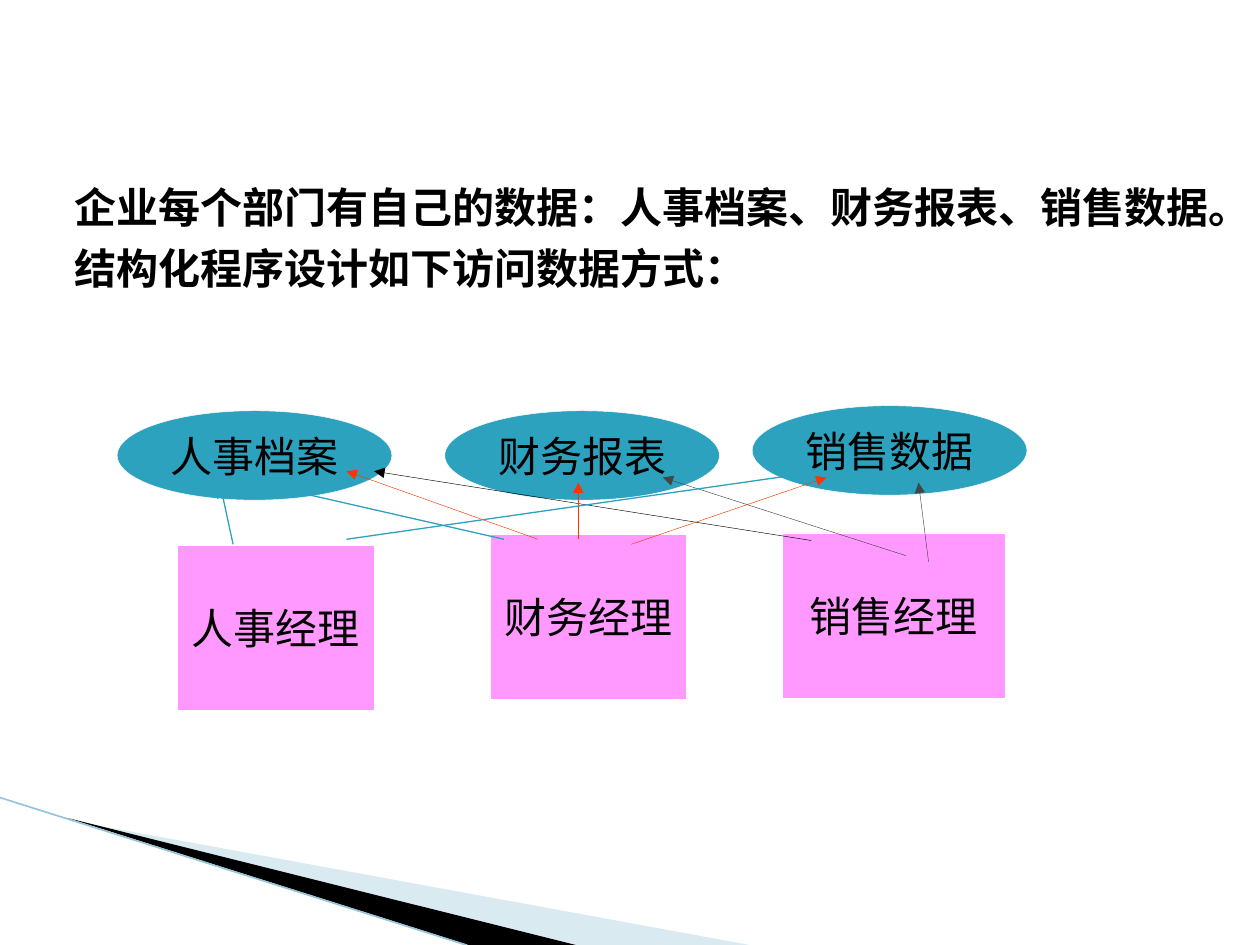
from lxml.etree import SubElement
from pptx import Presentation
from pptx.dml.color import RGBColor
from pptx.enum.shapes import MSO_CONNECTOR as Connector, MSO_SHAPE as Shape
from pptx.enum.text import MSO_ANCHOR as Anchor, PP_ALIGN as Align
from pptx.oxml.ns import qn
from pptx.util import Inches, Pt

BLACK = RGBColor(0x00, 0x00, 0x00)
WHITE = RGBColor(0xFF, 0xFF, 0xFF)
TEAL = RGBColor(0x2D, 0xA2, 0xBF)
PINK = RGBColor(0xFF, 0x99, 0xFF)
RED = RGBColor(0xFF, 0x33, 0x00)
GRAY = RGBColor(0x46, 0x46, 0x46)
PALE_BLUE = RGBColor(0xA0, 0xCB, 0xDC)
EDGE_BLUE = RGBColor(0x97, 0xC5, 0xD8)

FONT = "Times New Roman"
INTRO = (
    "企业每个部门有自己的数据：人事档案、财务报表、销售数据。",
    "结构化程序设计如下访问数据方式：",
)
DATA_SETS = (
    ("人事档案", 0.93, 3.26),
    ("财务报表", 3.53, 3.26),
    ("销售数据", 5.97, 3.22),
)
MANAGERS = (
    ("财务经理", 3.89, 4.24, 1.56),
    ("销售经理", 6.21, 4.23, 1.77),
    ("人事经理", 1.41, 4.33, 1.56),
)
ACCESS_ARROWS = (
    ((6.44, 4.29), (2.97, 3.74), BLACK),
    ((4.59, 4.28), (4.59, 3.83), RED),
    ((5.01, 4.32), (6.56, 3.79), RED),
    ((4.27, 4.28), (2.75, 3.74), RED),
    ((7.19, 4.41), (5.26, 3.79), GRAY),
    ((7.37, 4.46), (7.29, 3.83), GRAY),
)
TEAL_ARROWS = (
    ((4, 4.28), (1.85, 3.79)),
    ((2.75, 4.28), (6.52, 3.74)),
    ((1.85, 4.32), (1.75, 3.86)),
)


def format_runs(para, bold=False):
    """Give every run of a paragraph the slide's text style."""
    for span in para.runs:
        span.font.name = FONT
        span.font.size = Pt(24)
        span.font.bold = bold
        span.font.color.rgb = BLACK


def add_wedge(page, points, color, opacity=None):
    """Draw a filled decorative wedge, optionally translucent."""
    corners = [(Inches(x), Inches(y)) for x, y in points]
    builder = page.shapes.build_freeform(*corners[0])
    builder.add_line_segments(corners[1:])
    wedge = builder.convert_to_shape()
    wedge.shadow.inherit = False
    wedge.fill.solid()
    wedge.fill.fore_color.rgb = color
    wedge.line.fill.background()
    if opacity is not None:
        rgb = wedge.fill._xPr.find(qn("a:solidFill")).find(qn("a:srgbClr"))
        SubElement(rgb, qn("a:alpha"), val=str(opacity * 1000))


def add_line(page, start, end, color, width, arrowhead=None):
    """Draw a straight line with an optional arrowhead at its end."""
    ends = [Inches(value) for value in (*start, *end)]
    line = page.shapes.add_connector(Connector.STRAIGHT, *ends)
    line.line.color.rgb = color
    line.line.width = Pt(width)
    if arrowhead:
        SubElement(line.line._get_or_add_ln(), qn("a:tailEnd"), type=arrowhead)
    SubElement(line._element.spPr, qn("a:effectLst"))


def add_node(page, kind, label, left, top, width, height, color, wrap):
    """Draw a filled shape with a centred label."""
    node = page.shapes.add_shape(
        kind, Inches(left), Inches(top), Inches(width), Inches(height))
    node.shadow.inherit = False
    node.fill.solid()
    node.fill.fore_color.rgb = color
    node.line.color.rgb = WHITE
    node.line.width = Pt(0.25)
    frame = node.text_frame
    frame.text = label
    frame.word_wrap = wrap
    frame.vertical_anchor = Anchor.MIDDLE
    para = frame.paragraphs[0]
    para.alignment = Align.CENTER
    format_runs(para)


def add_intro(page):
    """Write the bold introduction above the diagram."""
    box = page.shapes.add_textbox(
        Inches(0.49), Inches(1.39), Inches(9.32), Inches(1.11))
    frame = box.text_frame
    frame.word_wrap = True
    frame.text = "\n".join(INTRO)
    for para in frame.paragraphs:
        para.space_before = Pt(6)
        format_runs(para, bold=True)


def add_corner(page):
    """Draw the sweeping decoration in the lower left corner."""
    add_wedge(page, [(0.55, 6.51), (5.95, 7.5), (4.56, 7.5)], PALE_BLUE, 40)
    add_wedge(page, [(0.53, 6.49), (4.57, 7.5), (3.72, 7.5)], BLACK)
    add_line(page, (0, 6.33), (3.7, 7.5), EDGE_BLUE, 0.95)


def main():
    """Build the slide and save it."""
    deck = Presentation()
    deck.slide_width, deck.slide_height = Inches(10), Inches(7.5)
    page = deck.slides.add_slide(deck.slide_layouts[6])
    add_corner(page)
    for label, left, top in DATA_SETS:
        add_node(page, Shape.OVAL, label, left, top, 2.18, 0.71, TEAL, False)
    for label, left, top, width in MANAGERS:
        add_node(page, Shape.RECTANGLE, label, left, top, width, 1.31, PINK, True)
    for start, end, color in ACCESS_ARROWS:
        add_line(page, start, end, color, 0.25, "triangle")
    for start, end in TEAL_ARROWS:
        add_line(page, start, end, TEAL, 0.75, "arrow")
    add_intro(page)
    deck.save("out.pptx")


if __name__ == "__main__":
    main()
